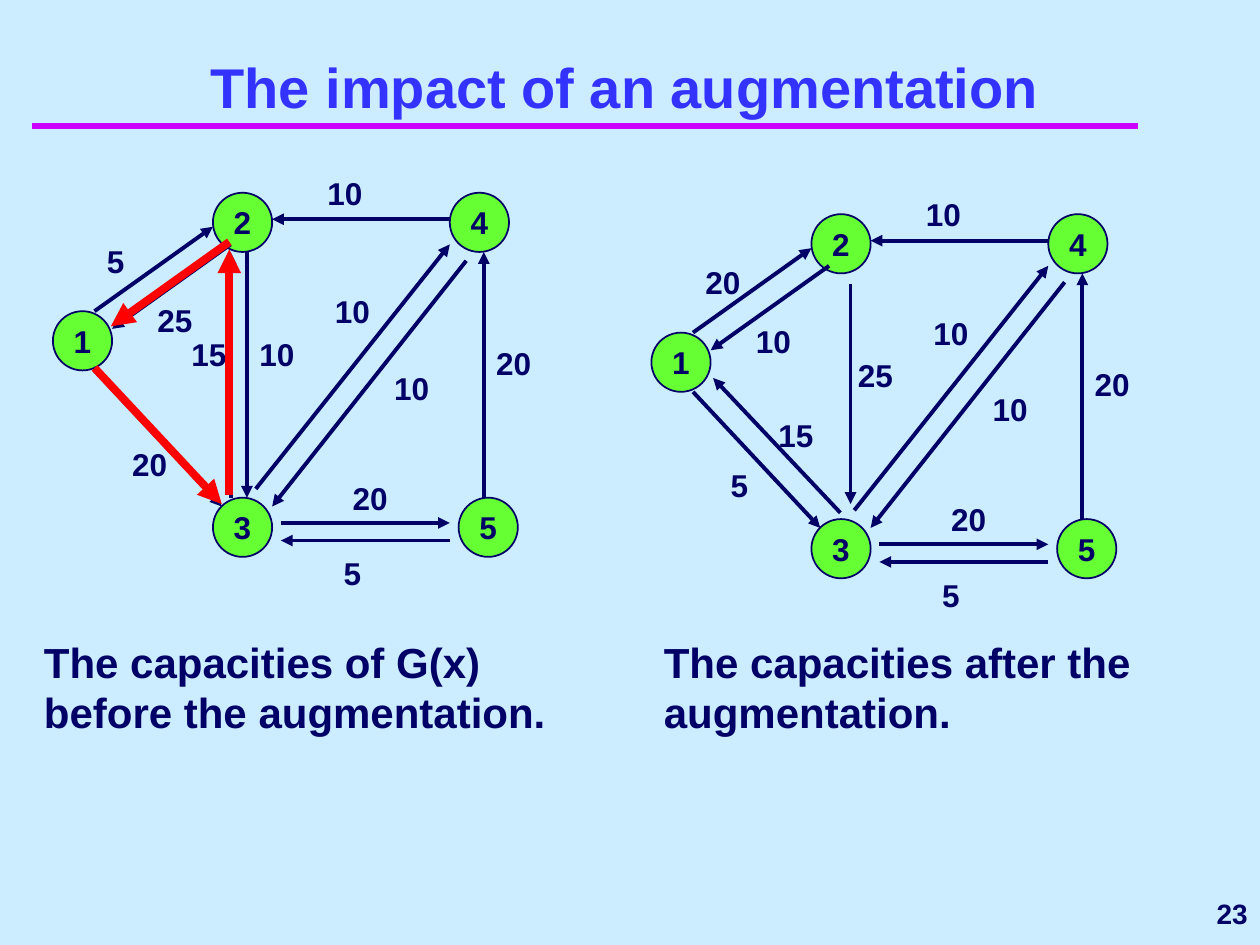
from typing import NamedTuple

from pptx import Presentation
from pptx.dml.color import RGBColor
from pptx.enum import shapes, text
from pptx.oxml import parse_xml
from pptx.oxml.ns import nsdecls, qn
from pptx.util import Inches, Pt

NAVY, RED, GREEN = "000066", "FF0000", "66FF33"
BLUE, MAGENTA, SKY = "3333FF", "CC00FF", "CCECFF"
NODE_SIZE = 0.47
LABEL_HEIGHT = 0.4


class Node(NamedTuple):
    name: str
    left: float
    top: float


class Arc(NamedTuple):
    """A line whose arrowhead is at (x2, y2)."""
    x1: float
    y1: float
    x2: float
    y2: float
    color: str = NAVY
    width: float = 2.25


class Capacity(NamedTuple):
    value: str
    left: float
    top: float
    width: float = 0.94


class Graph(NamedTuple):
    dx: float
    dy: float
    caption: str
    caption_left: float
    arcs: list[Arc]
    capacities: list[Capacity]


NODES = [Node("1", 0.42, 2.47), Node("2", 1.69, 1.53), Node("4", 3.57, 1.53),
         Node("3", 1.69, 3.95), Node("5", 3.64, 3.95)]

SHARED_ARCS = [
    Arc(2.23, 4.15, 3.57, 4.15),  # 3 to 5
    Arc(3.57, 4.29, 2.23, 4.29),  # 5 to 3
    Arc(3.57, 1.74, 2.16, 1.74),  # 4 to 2
    Arc(0.75, 2.47, 1.69, 1.8),   # 1 to 2
    Arc(1.83, 1.94, 0.89, 2.61),  # 2 to 1
    Arc(0.75, 2.94, 1.76, 4.02),  # 1 to 3
    Arc(3.84, 3.95, 3.84, 2),     # 5 to 4
    Arc(2.03, 3.88, 3.57, 1.94),  # 3 to 4
    Arc(3.7, 2.07, 2.16, 4.02),   # 4 to 3
]

SHARED_CAPACITIES = [
    Capacity("10", 2.5, 1.33), Capacity("20", 3.84, 2.68),
    Capacity("10", 2.56, 2.27), Capacity("10", 3.03, 2.88),
    Capacity("20", 2.7, 3.75, 0.54), Capacity("5", 2.63, 4.35),
]


def changing_capacities(c12: str, c21: str, c13: str, c23: str) -> list[Capacity]:
    """Capacities whose place is fixed but whose value the augmentation changes."""
    return [Capacity(c12, 0.75, 1.87), Capacity(c21, 1.15, 2.34),
            Capacity(c13, 0.95, 3.48, 0.54), Capacity(c23, 1.96, 2.61)]


# Positions are relative to the graph's offset (dx, dy).
BEFORE = Graph(
    0, 0, "The capacities of G(x) before the augmentation.", 0.25,
    [Arc(1.96, 2, 1.96, 3.95), Arc(1.83, 3.95, 1.83, 2),
     Arc(0.75, 2.92, 1.76, 4, RED, 4.5),
     Arc(1.82, 1.92, 0.88, 2.59, RED, 4.5),
     Arc(1.82, 3.93, 1.82, 1.98, RED, 4.5)],
    changing_capacities("5", "25", "20", "10") + [Capacity("15", 1.42, 2.61)])
AFTER = Graph(
    4.75, 0.17, "The capacities after the augmentation.", 5.17,
    [Arc(2, 2.08, 2, 3.83), Arc(1.92, 3.9, 0.91, 2.83)],
    changing_capacities("20", "10", "5", "25") + [Capacity("15", 1.33, 3.08, 0.54)])


def rgb(color: str) -> RGBColor:
    return RGBColor.from_string(color)


def write(shape, words: str, size: float, color: str = NAVY,
          align=text.PP_ALIGN.LEFT, anchor=text.MSO_ANCHOR.TOP, wrap: bool = True) -> None:
    frame = shape.text_frame
    frame.text = words
    frame_format = {"word_wrap": wrap, "vertical_anchor": anchor,
                    "auto_size": text.MSO_AUTO_SIZE.NONE}
    for name, value in frame_format.items():
        setattr(frame, name, value)
    paragraph = frame.paragraphs[0]
    paragraph.alignment = align
    for name, value in {"name": "Arial", "size": Pt(size), "bold": True}.items():
        setattr(paragraph.font, name, value)
    paragraph.font.color.rgb = rgb(color)


def add_text(slide, words: str, left: float, top: float, width: float,
             height: float, size: float, **layout) -> None:
    box = slide.shapes.add_textbox(*map(Inches, (left, top, width, height)))
    write(box, words, size, **layout)


def add_line(slide, arc: Arc, dx: float = 0, dy: float = 0, arrow: bool = True) -> None:
    ends = (arc.x1 + dx, arc.y1 + dy, arc.x2 + dx, arc.y2 + dy)
    line = slide.shapes.add_connector(shapes.MSO_CONNECTOR.STRAIGHT, *map(Inches, ends))
    line.line.color.rgb = rgb(arc.color)
    line.line.width = Pt(arc.width)
    properties = line._element.spPr
    if arrow:
        properties.find(qn("a:ln")).append(
            parse_xml(f'<a:tailEnd {nsdecls("a")} type="triangle"/>'))
    properties.append(parse_xml(f'<a:effectLst {nsdecls("a")}/>'))


def add_node(slide, node: Node, dx: float, dy: float) -> None:
    circle = slide.shapes.add_shape(
        shapes.MSO_SHAPE.OVAL, Inches(node.left + dx), Inches(node.top + dy),
        Inches(NODE_SIZE), Inches(NODE_SIZE))
    circle.shadow.inherit = False
    circle.fill.solid()
    circle.fill.fore_color.rgb = rgb(GREEN)
    circle.line.color.rgb = rgb(NAVY)
    circle.line.width = Pt(1)
    write(circle, node.name, 18, align=text.PP_ALIGN.CENTER,
          anchor=text.MSO_ANCHOR.MIDDLE, wrap=False)


def add_graph(slide, graph: Graph) -> None:
    add_text(slide, graph.caption, graph.caption_left, 5, 4.42, 0.9, 24)
    for node in NODES:
        add_node(slide, node, graph.dx, graph.dy)
    for capacity in SHARED_CAPACITIES + graph.capacities:
        add_text(slide, capacity.value, capacity.left + graph.dx,
                 capacity.top + graph.dy, capacity.width, LABEL_HEIGHT, 18)
    for arc in SHARED_ARCS + graph.arcs:
        add_line(slide, arc, graph.dx, graph.dy)


def main() -> None:
    deck = Presentation()
    deck.slide_width, deck.slide_height = Inches(10), Inches(7.5)
    slide = deck.slides.add_slide(deck.slide_layouts[5])
    slide.background.fill.solid()
    slide.background.fill.fore_color.rgb = rgb(SKY)

    title = slide.shapes.title
    title_place = {"left": 0.17, "top": 0.25, "width": 9.58, "height": 0.75}
    for name, value in title_place.items():
        setattr(title, name, Inches(value))
    write(title, "The impact of an augmentation", 32, BLUE,
          text.PP_ALIGN.CENTER, text.MSO_ANCHOR.BOTTOM)
    add_line(slide, Arc(0.25, 1, 9.03, 1, MAGENTA, 4), arrow=False)

    for graph in (BEFORE, AFTER):
        add_graph(slide, graph)
    add_text(slide, "23", 8.08, 7, 1.92, 0.5, 16,
             align=text.PP_ALIGN.RIGHT, anchor=text.MSO_ANCHOR.MIDDLE)
    deck.save("out.pptx")


if __name__ == "__main__":
    main()
